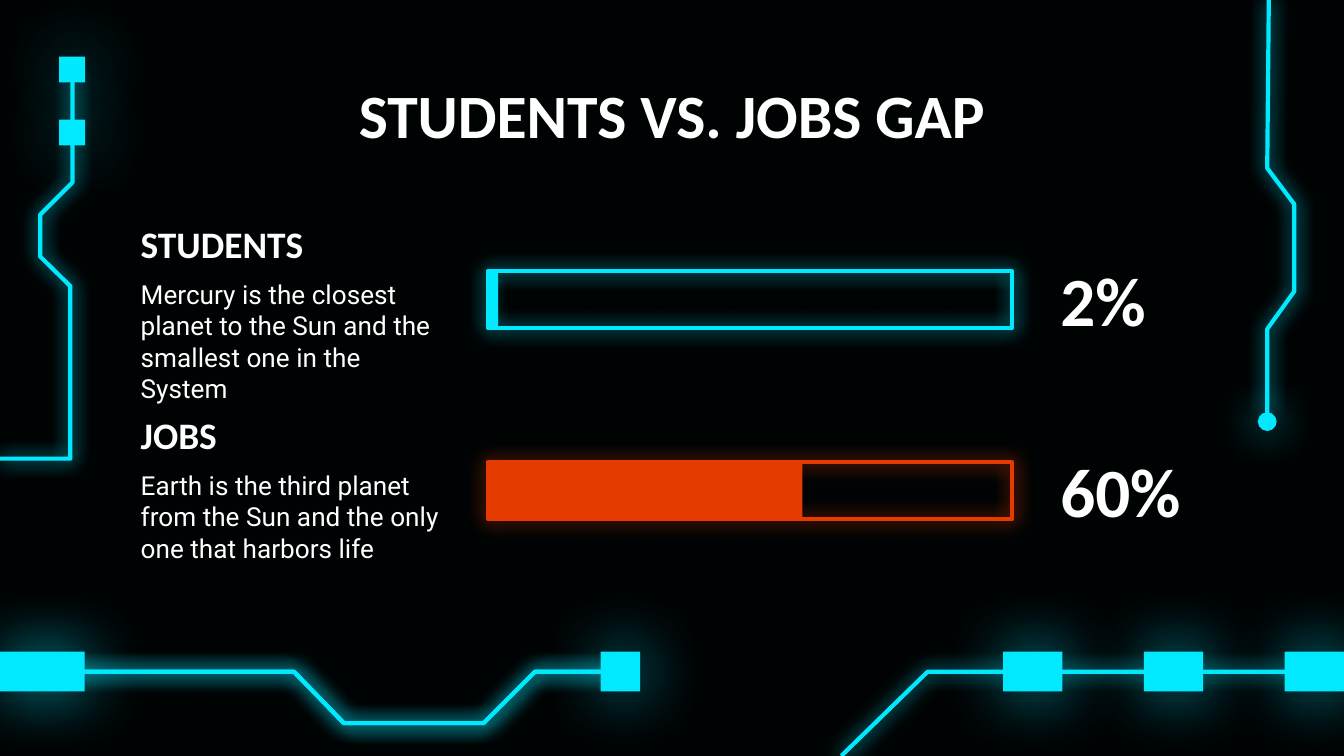
from collections import namedtuple
from dataclasses import dataclass

from lxml.etree import SubElement
from pptx import Presentation
from pptx.dml.color import RGBColor
from pptx.enum.shapes import MSO_SHAPE
from pptx.enum.text import MSO_ANCHOR, PP_ALIGN
from pptx.oxml.ns import qn
from pptx.util import Cm, Pt

Box = namedtuple("Box", "x y w h")


@dataclass(frozen=True)
class Theme:
    """Colours, fonts and sizes of the slide."""
    back: str = "000304"
    neon: str = "00E9FF"
    fire: str = "E63B00"
    text: str = "FFFFFF"
    head: str = "Calibri"
    body: str = "Roboto"
    title: int = 33
    label: int = 20
    note: int = 14
    value: int = 37
    line: float = 2.25


THEME = Theme()


def inner(box, x, y, w, h):
    """Return a box placed relative to another box."""
    return Box(box.x + x, box.y + y, w, h)


def paint(shape, fill=None, line=None, width=THEME.line):
    """Set the fill and outline of a shape and drop its shadow."""
    if fill:
        shape.fill.solid()
        shape.fill.fore_color.rgb = RGBColor.from_string(fill)
    else:
        shape.fill.background()
    if line:
        shape.line.color.rgb = RGBColor.from_string(line)
        shape.line.width = Pt(width)
    else:
        shape.line.fill.background()
    shape.shadow.inherit = False


def glow(shape, color, blur=10.1, alpha=100, dist=0):
    """Give a painted shape a soft coloured halo."""
    effects = shape.element.spPr.find(qn("a:effectLst"))
    halo = SubElement(effects, qn("a:outerShdw"), blurRad=str(Pt(blur)),
                      dist=str(Pt(dist)), dir="0", algn="bl", rotWithShape="0")
    tint = SubElement(halo, qn("a:srgbClr"), val=color)
    SubElement(tint, qn("a:alpha"), val=str(alpha * 1000))


def block(slide, box, kind=MSO_SHAPE.RECTANGLE, **style):
    """Add a painted preset shape."""
    shape = slide.shapes.add_shape(kind, *map(Cm, box))
    paint(shape, **style)
    return shape


def node(slide, box):
    """Add a glowing solid node of a circuit."""
    glow(block(slide, box, fill=THEME.neon), THEME.neon, 36, 70, 1.5)


def trace(slide, box, points, dist=0):
    """Add a glowing open line through points relative to the box."""
    spots = [(Cm(box.x + x), Cm(box.y + y)) for x, y in points]
    pen = slide.shapes.build_freeform(*spots[0])
    pen.add_line_segments(spots[1:], close=False)
    shape = pen.convert_to_shape()
    paint(shape, line=THEME.neon)
    glow(shape, THEME.neon, dist=dist)


def write(slide, box, text, size, font=THEME.head, bold=True, top=0.25,
          anchor=MSO_ANCHOR.MIDDLE, align=PP_ALIGN.LEFT):
    """Add a wrapped text box holding one run."""
    frame = slide.shapes.add_textbox(*map(Cm, box)).text_frame
    frame.word_wrap = True
    frame.vertical_anchor = anchor
    frame.margin_left = frame.margin_right = frame.margin_bottom = Cm(0.25)
    frame.margin_top = Cm(top)
    para = frame.paragraphs[0]
    para.alignment = align
    run = para.add_run()
    run.text = text
    run.font.name = font
    run.font.size = Pt(size)
    run.font.bold = bold
    run.font.color.rgb = RGBColor.from_string(THEME.text)


def corner(slide, box):
    """Draw the bottom right circuit."""
    trace(slide, box, [(box.w, 0.38), (1.63, 0.38), (0, box.h)])
    for step in range(3):
        node(slide, inner(box, 3.06 + 2.66 * step, 0, 1.12, 0.75))


def left(slide, box):
    """Draw the left circuit."""
    trace(slide, box, [(1.37, 0.25), (1.37, 2.38), (0.76, 2.99), (0.76, 3.78),
                       (1.33, 4.34), (1.33, box.h), (0, box.h)])
    for y in (0, 1.19):
        node(slide, inner(box, 1.12, y, 0.49, 0.49))


def right(slide, box):
    """Draw the right circuit with its round end."""
    trace(slide, box, [(0.03, 0), (0, 3.18), (box.w, 3.86), (box.w, 5.51),
                       (0, 6.22), (0, 7.82)])
    dot = block(slide, inner(box, -0.15, 7.82, 0.3, 0.3), MSO_SHAPE.OVAL,
                fill=THEME.neon, line=THEME.neon, width=1.5)
    glow(dot, THEME.neon, 22.5)


def base(slide, box):
    """Draw the bottom left circuit with a doubled halo."""
    points = [(11.66, 0.38), (10.11, 0.38), (9.14, box.h), (6.5, box.h),
              (5.56, 0.38), (0, 0.38)]
    for dist in (1.5, 0):
        trace(slide, box, points, dist)
    for x, w in ((0, 1.6), (11.35, 0.75)):
        node(slide, inner(box, x, 0, w, 0.75))


def gauge(slide, box, name, note, share, color):
    """Draw one row: label, note, progress bar and percentage."""
    frame = inner(box, 6.81, 0.94, 9.91, 1.07)
    glow(block(slide, frame, line=color), color)
    block(slide, frame._replace(w=frame.w * share), fill=color)
    write(slide, inner(box, 0, 1.07, 6.15, 2.18), note, THEME.note,
          THEME.body, False, 0, MSO_ANCHOR.TOP)
    write(slide, inner(box, 0, 0, 6.15, 1.07), name, THEME.label,
          top=0, anchor=MSO_ANCHOR.TOP)
    write(slide, inner(box, 17.38, 0.61, 3.2, 1.7), f"{share:.0%}",
          THEME.value)


def main():
    """Build and save the slide."""
    deck = Presentation()
    deck.slide_width, deck.slide_height = Cm(25.4), Cm(14.29)
    slide = deck.slides.add_slide(deck.slide_layouts[6])
    slide.background.fill.solid()
    slide.background.fill.fore_color.rgb = RGBColor.from_string(THEME.back)

    corner(slide, Box(15.9, 12.32, 9.5, 1.97))
    left(slide, Box(0, 1.07, 1.61, 7.6))
    right(slide, Box(23.95, 0, 0.51, 8.12))
    base(slide, Box(0, 12.32, 12.1, 1.35))
    write(slide, Box(1.98, 1.5, 21.44, 1.32), "STUDENTS VS. JOBS GAP",
          THEME.title, align=PP_ALIGN.CENTER)
    rows = [
        ("STUDENTS", "Mercury is the closest planet to the Sun and the "
         "smallest one in the System", 0.02, THEME.neon),
        ("JOBS", "Earth is the third planet from the Sun and the only "
         "one that harbors life", 0.6, THEME.fire),
    ]
    for rank, row in enumerate(rows):
        gauge(slide, Box(2.41, 4.19 + 3.61 * rank, 20.58, 3.25), *row)
    deck.save("out.pptx")


if __name__ == "__main__":
    main()
